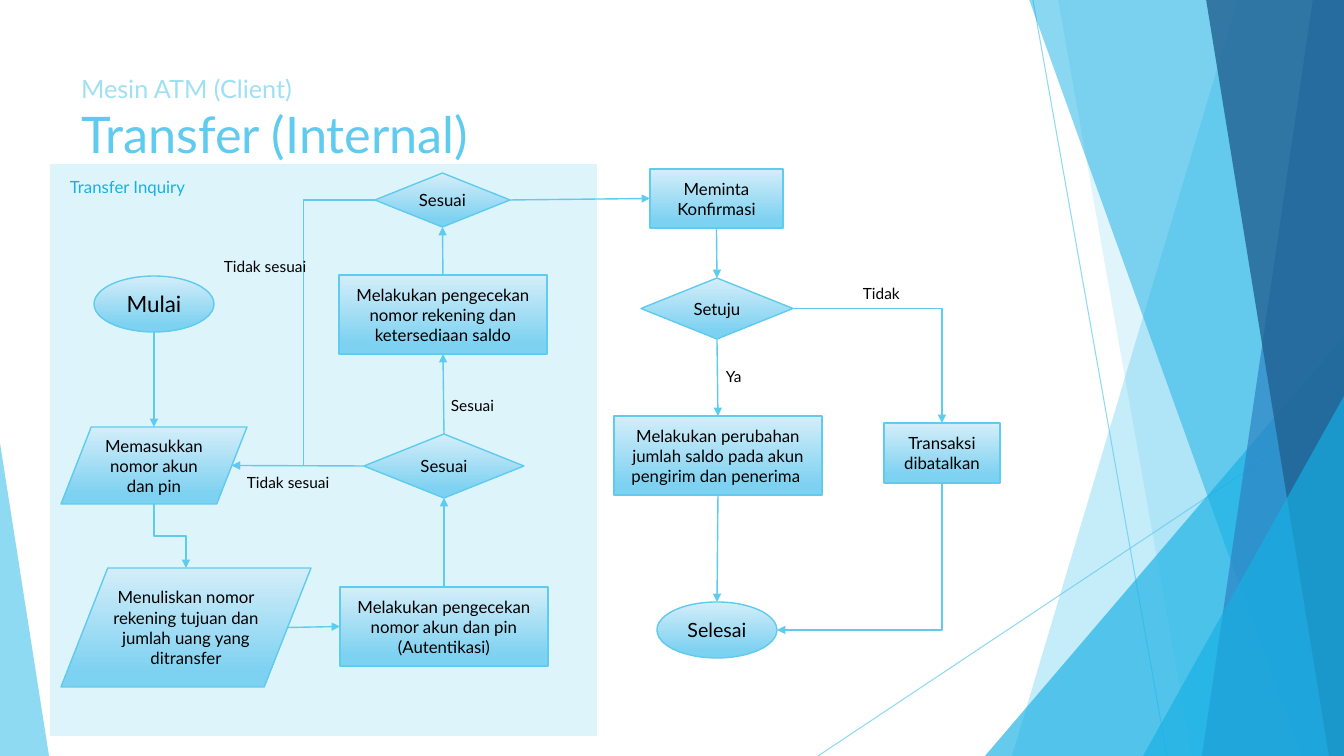
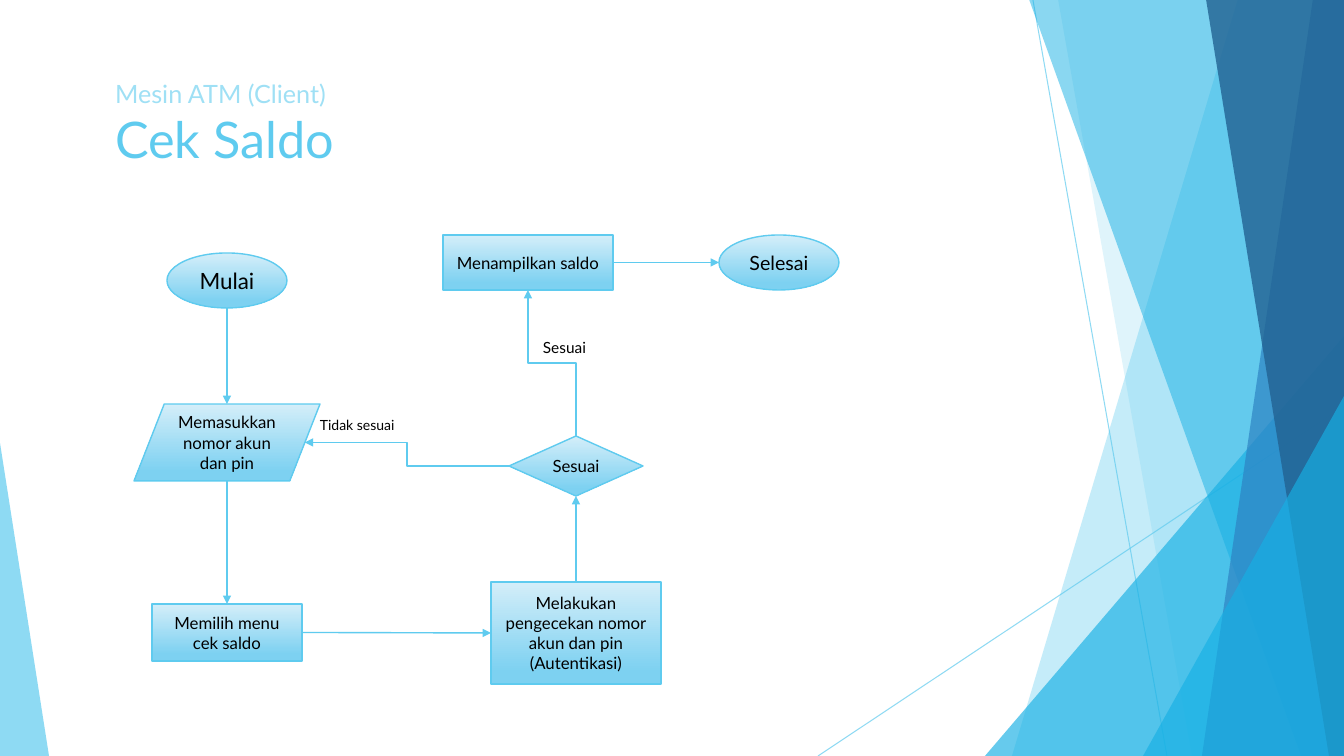
"""Build two flowchart slides for the ATM client."""
from lxml import etree
from pptx import Presentation
from pptx import util as u
from pptx.dml import color as dml
from pptx.enum import shapes, text
from pptx.oxml import ns

PX = 12192000 / 1344
FONT = "Lato"
HUES = {
    "sky": "5FCBEF", "pale": "9FE0F5", "panel": "BFEAF9", "blue": "17B0E4",
    "mid": "2E83C3", "navy": "226292", "light": "D4EEF9", "deep": "7DD1F1",
    "ink": "000000",
}
KINDS = shapes.MSO_SHAPE
OVAL, RECT, GEM, SLANT = KINDS.OVAL, KINDS.RECTANGLE, KINDS.DIAMOND, KINDS.PARALLELOGRAM
SITES = {OVAL: (0, 2, 4, 6), SLANT: (0, 2, 4, 5)}
SKEW = 0.393

LINES = [(1033, 0, 1167, 756), (1344, 406, 818, 756)]
WEDGES = [
    ((1238, 1012), "sky", 36),
    ((1058, 1192), "sky", 20),
    ((985, 336, 359, 420, 1), "blue", 66),
    ((1029, 1301), "blue", 50),
    ((1313, 1202), "mid", 70),
    ((1206, 1329), "navy", 80),
    ((1143, 396, 201, 360, 1), "blue", 66),
    ((0, 443, 49, 313, 0), "sky", 70),
]

PAGES = [
    {
        "title": "Transfer (Internal)",
        "box": (71, 68, 463, 112),
        "panel": (50, 164, 547, 572),
        "nodes": {
            "start": (OVAL, 94, 276, 120, 56, "Mulai", 16),
            "end": (OVAL, 657, 602, 120, 56, "Selesai", 14),
            "pin": (SLANT, 61, 427, 186, 77, "Memasukkan nomor akun dan pin", 12),
            "form": (SLANT, 61, 568, 250, 119,
                     "Menuliskan nomor rekening tujuan dan jumlah uang yang ditransfer", 12),
            "auth": (RECT, 340, 587, 208, 79,
                     "Melakukan pengecekan nomor akun dan pin\n(Autentikasi)", 12),
            "valid": (GEM, 364, 434, 160, 64, "Sesuai", 12),
            "check": (RECT, 339, 275, 208, 79,
                      "Melakukan pengecekan nomor rekening dan ketersediaan saldo", 12),
            "match": (GEM, 375, 173, 135, 54, "Sesuai", 12),
            "ask": (RECT, 650, 169, 133, 59, "Meminta Konfirmasi", 12),
            "agree": (GEM, 641, 278, 152, 61, "Setuju", 12),
            "move": (RECT, 614, 416, 208, 79,
                     "Melakukan perubahan jumlah saldo pada akun pengirim dan penerima ", 12),
            "cancel": (RECT, 884, 423, 116, 60, "Transaksi dibatalkan", 12),
        },
        "links": [
            "start b pin t", "pin b form t", "form r auth l", "auth t valid b",
            "valid l pin r", "valid t check b", "check t match b", "match l pin r",
            "match r ask l", "ask b agree t", "agree b move t", "move b end t",
            "agree r cancel t", "cancel b end r",
        ],
        "labels": [
            (441, 391, 63, 29, "Sesuai", 11, "ink"),
            (237, 468, 106, 29, "Tidak sesuai", 11, "ink"),
            (214, 252, 106, 29, "Tidak sesuai", 11, "ink"),
            (716, 362, 37, 29, "Ya", 11, "ink"),
            (853, 279, 58, 29, "Tidak", 11, "ink"),
            (60, 172, 139, 30, "Transfer Inquiry", 12, "blue"),
        ],
    },
    {
        "title": "Cek Saldo",
        "box": (105, 73, 411, 103),
        "panel": None,
        "nodes": {
            "start": (OVAL, 167, 253, 120, 55, "Mulai", 16),
            "end": (OVAL, 719, 235, 120, 55, "Selesai", 14),
            "show": (RECT, 443, 235, 170, 55, "Menampilkan saldo", 12),
            "pin": (SLANT, 134, 404, 186, 77, "Memasukkan nomor akun dan pin", 12),
            "valid": (GEM, 509, 436, 134, 60, "Sesuai", 12),
            "menu": (RECT, 152, 604, 150, 57, "Memilih menu cek saldo", 12),
            "auth": (RECT, 491, 582, 170, 102,
                     "Melakukan pengecekan nomor akun dan pin\n(Autentikasi)", 12),
        },
        "links": [
            "start b pin t", "pin b menu t", "menu r auth l", "auth t valid b",
            "valid l pin r", "valid t show b", "show r end l",
        ],
        "labels": [
            (533, 333, 63, 29, "Sesuai", 11, "ink"),
            (310, 412, 98, 27, "Tidak sesuai", 10, "ink"),
        ],
    },
]


def write(frame, words, size=12, hue="ink", align=None):
    frame.text = words
    for para in frame.paragraphs:
        para.alignment = align
        for run in para.runs:
            run.font.name = FONT
            run.font.size = u.Pt(size)
            run.font.color.rgb = dml.RGBColor.from_string(HUES[hue])


def paint(shape, fill, hue, alpha):
    fill.solid()
    fill.fore_color.rgb = dml.RGBColor.from_string(HUES[hue])
    tone = shape.element.spPr.xpath(".//a:srgbClr")[-1]
    etree.SubElement(tone, ns.qn("a:alpha"), val=str(alpha * 1000))


deck = Presentation()
deck.slide_width, deck.slide_height = round(1344 * PX), round(756 * PX)
base = deck.slide_layouts[5]
pages = [deck.slides.add_slide(base) for _ in PAGES]

decor = []
tree = pages[0].shapes
for ends in LINES:
    line = tree.add_connector(shapes.MSO_CONNECTOR.STRAIGHT, *[round(n * PX) for n in ends])
    line.line.width = u.Pt(0.75)
    paint(line, line.line.fill, "sky", 70)
    etree.SubElement(line.element.spPr, ns.qn("a:effectLst"))
    decor.append(line)
for spot, hue, alpha in WEDGES:
    if len(spot) == 2:
        top, foot = spot
        pen = tree.build_freeform(top, -1, scale=PX)
        pen.add_line_segments([(1344, -1), (1344, 756), (foot, 756)], close=True)
        wedge = pen.convert_to_shape()
    else:
        wedge = tree.add_shape(KINDS.ISOSCELES_TRIANGLE, *[round(n * PX) for n in spot[:4]])
        wedge.adjustments[0] = spot[4]
    paint(wedge, wedge.fill, hue, alpha)
    wedge.line.fill.background()
    wedge.shadow.inherit = False
    decor.append(wedge)
for rank, shape in enumerate(decor):
    shape.element.xpath(".//p:cNvPr")[0].set("id", str(100 + rank))
    base.shapes.element.insert(2 + rank, shape.element)

for page, data in zip(pages, PAGES):
    tree = page.shapes
    if data["panel"]:
        panel = tree.add_shape(RECT, *[round(n * PX) for n in data["panel"]])
        paint(panel, panel.fill, "panel", 50)
        panel.line.fill.background()
        panel.shadow.inherit = False

    title = tree.title
    title.left, title.top, title.width, title.height = [round(n * PX) for n in data["box"]]
    frame = title.text_frame
    write(frame, "Mesin ATM (Client)\v" + data["title"], size=36, hue="sky",
          align=text.PP_ALIGN.LEFT)
    frame.auto_size = text.MSO_AUTO_SIZE.NONE
    frame.vertical_anchor = text.MSO_ANCHOR.TOP
    lead = frame.paragraphs[0].runs[0].font
    lead.size = u.Pt(18)
    lead.color.rgb = dml.RGBColor.from_string(HUES["pale"])
    gap = title.element.xpath(".//a:br")[0]
    etree.SubElement(gap, ns.qn("a:rPr"), sz="1800")

    nodes = {}
    for name, (kind, x, y, w, h, words, size) in data["nodes"].items():
        node = tree.add_shape(kind, *[round(n * PX) for n in (x, y, w, h)])
        if kind == SLANT:
            node.adjustments[0] = SKEW
        node.fill.gradient()
        node.fill.gradient_angle = 270
        for stop, hue, place in zip(node.fill.gradient_stops, ("light", "deep"), (0, 0.88)):
            stop.color.rgb = dml.RGBColor.from_string(HUES[hue])
            stop.position = place
        node.line.color.rgb = dml.RGBColor.from_string(HUES["sky"])
        node.line.width = u.Pt(1)
        node.shadow.inherit = False
        node.text_frame.word_wrap = True
        write(node.text_frame, words, size=size, align=text.PP_ALIGN.CENTER)
        nodes[name] = node

    for link in data["links"]:
        first, out, last, into = link.split()
        ends = []
        for name, side in ((first, out), (last, into)):
            node, kind = nodes[name], data["nodes"][name][0]
            rank = "tlbr".index(side)
            inset = round(SKEW * node.height / 2) if kind == SLANT else 0
            x = node.left + {"l": inset, "r": node.width - inset}.get(side, node.width // 2)
            y = node.top + {"t": 0, "b": node.height}.get(side, node.height // 2)
            ends.append((node, rank, SITES.get(kind, (0, 1, 2, 3))[rank], x, y))
        (src, rank1, site1, x1, y1), (dst, rank2, site2, x2, y2) = ends
        wide, high = abs(x2 - x1), abs(y2 - y1)
        bent = min(wide, high) > 3 * PX
        style = shapes.MSO_CONNECTOR.ELBOW if bent else shapes.MSO_CONNECTOR.STRAIGHT
        wire = tree.add_connector(style, x1, y1, x2, y2)
        wire.begin_connect(src, rank1)
        wire.end_connect(dst, rank2)
        wire.element.xpath(".//a:stCxn")[0].set("idx", str(site1))
        wire.element.xpath(".//a:endCxn")[0].set("idx", str(site2))
        wire.begin_x, wire.begin_y, wire.end_x, wire.end_y = x1, y1, x2, y2
        look = wire.element.spPr
        if bent:
            geom = look.find(ns.qn("a:prstGeom"))
            if (out in "lr") != (into in "lr"):
                geom.set("prst", "bentConnector2")
            else:
                etree.SubElement(geom.find(ns.qn("a:avLst")), ns.qn("a:gd"),
                                 name="adj1", fmla="val 50000")
            if out in "tb":
                down, right = y2 > y1, x2 > x1
                form = look.find(ns.qn("a:xfrm"))
                form.set("rot", str((90 if down and not right else 270) * 60000))
                form.set("flipH", str(int(down and right)))
                form.set("flipV", str(int(not down and not right)))
                form[0].set("x", str((x1 + x2 - high) // 2))
                form[0].set("y", str((y1 + y2 - wide) // 2))
                form[1].set("cx", str(high))
                form[1].set("cy", str(wide))
        wire.line.color.rgb = dml.RGBColor.from_string(HUES["sky"])
        wire.line.width = u.Pt(1)
        etree.SubElement(look.find(ns.qn("a:ln")), ns.qn("a:tailEnd"), type="triangle")
        etree.SubElement(look, ns.qn("a:effectLst"))

    for x, y, w, h, words, size, hue in data["labels"]:
        label = tree.add_textbox(*[round(n * PX) for n in (x, y, w, h)])
        label.text_frame.word_wrap = False
        label.text_frame.auto_size = text.MSO_AUTO_SIZE.SHAPE_TO_FIT_TEXT
        write(label.text_frame, words, size=size, hue=hue)

deck.save("out.pptx")
